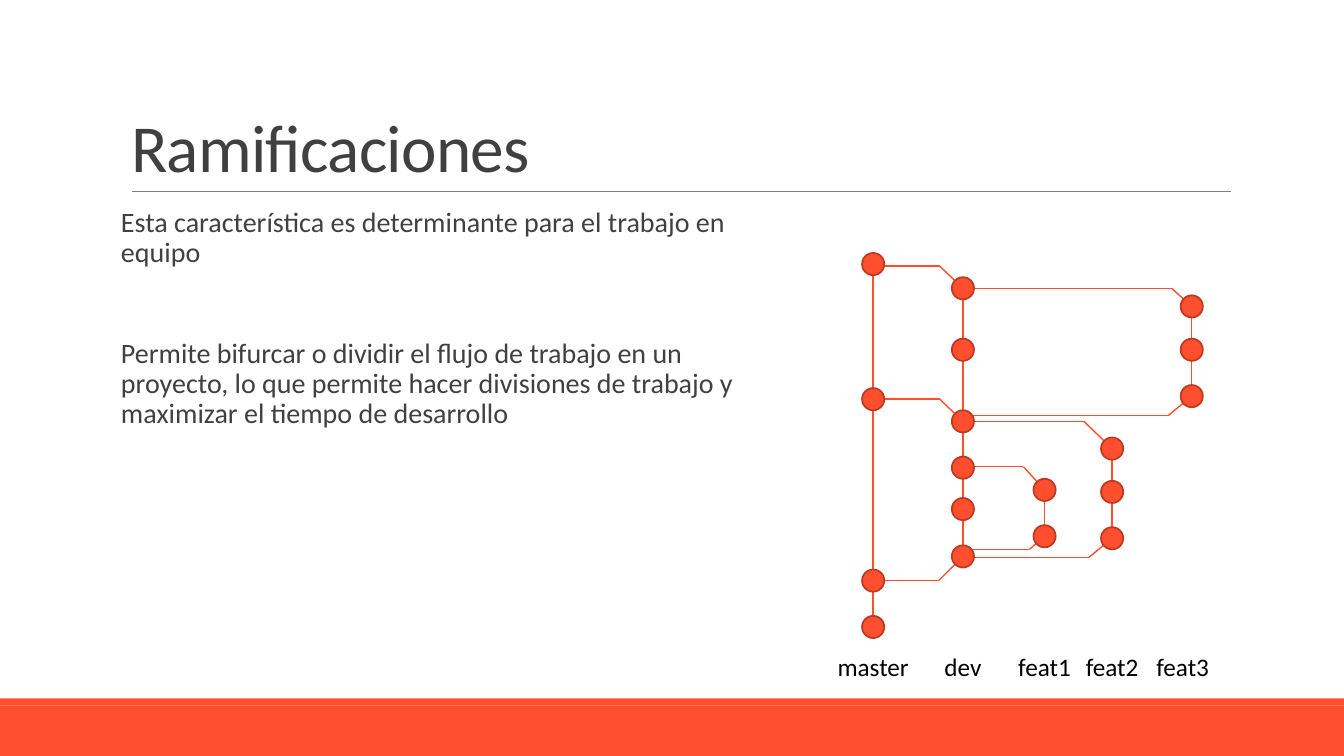
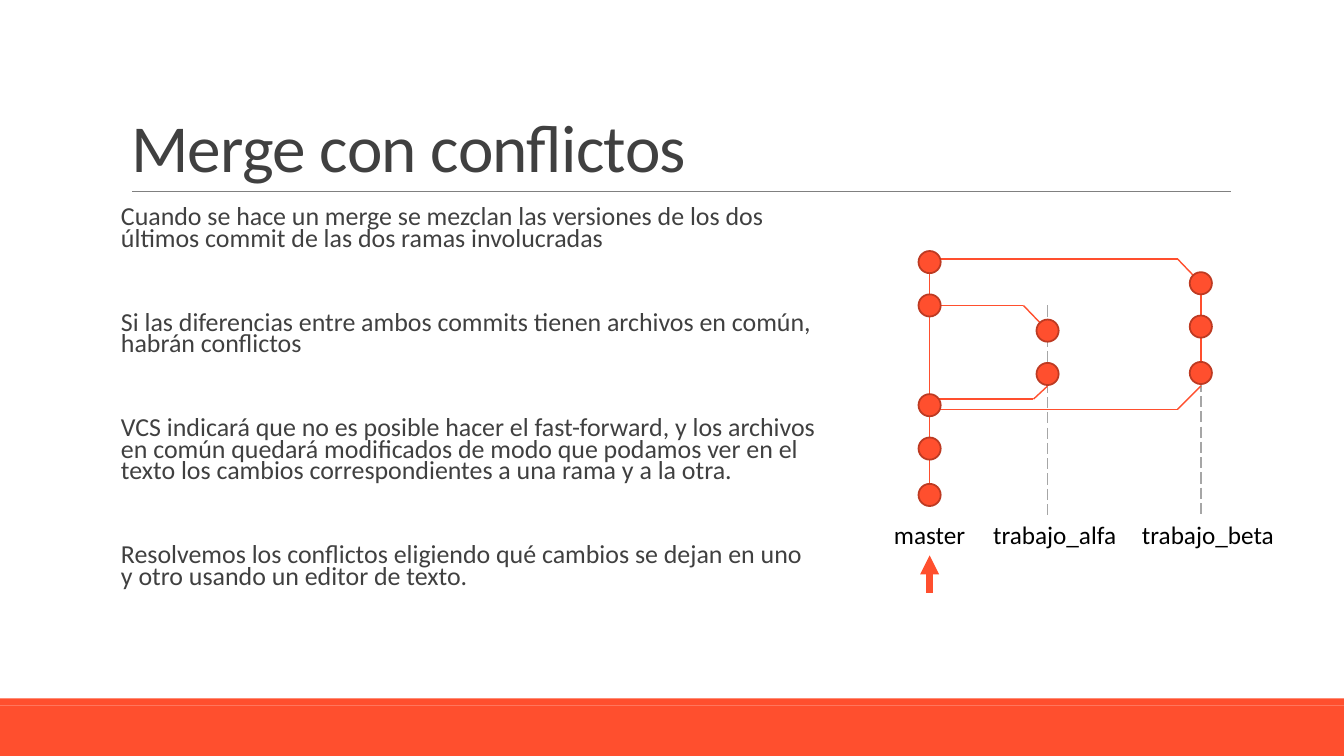
import dataclasses
import itertools

import lxml.etree
import pptx
import pptx.dml.color
import pptx.enum.dml
import pptx.enum.shapes
import pptx.enum.text
import pptx.oxml.ns
import pptx.util

PX = 9144  # EMU per px, 100 px to the inch
WIDTH, HEIGHT = 1333, 750
FONT = "Calibri"
ORANGE = pptx.dml.color.RGBColor(0xFF, 0x4F, 0x2E)
RUST = pptx.dml.color.RGBColor(0xBD, 0x3A, 0x22)
INK = pptx.dml.color.RGBColor(0x40, 0x40, 0x40)
BLACK = pptx.dml.color.RGBColor(0, 0, 0)
RULE_GREY = pptx.dml.color.RGBColor(0x80, 0x80, 0x80)
GUIDE_GREY = pptx.dml.color.RGBColor(0xA6, 0xA6, 0xA6)
COMMIT_SIZE = 22
LABEL_HEIGHT = 40


@dataclasses.dataclass
class Branch:
    """A column of commits; x and commit heights are relative to the graph."""
    name: str
    x: int
    commits: tuple
    label_shift: int = 0
    label_width: int = 95
    solid: bool = True
    guide: tuple = ()


@dataclasses.dataclass
class Link:
    """Leaves the trunk level at y, bends, and meets the branch at tip_y."""
    trunk: str
    y: int
    bend: int
    branch: str
    tip_y: int


def px(*lengths):
    return [round(n * PX) for n in lengths]


def add_shape(s, kind, box, fill, outline=None):
    sp = s.shapes.add_shape(kind, *px(*box))
    sp.shadow.inherit = False
    sp.fill.solid()
    sp.fill.fore_color.rgb = fill
    if outline is None:
        sp.line.fill.background()
    else:
        sp.line.color.rgb = outline
        sp.line.width = pptx.util.Pt(1.25)
    return sp


def add_line(s, start, end, color=ORANGE, width=1, dashed=False, arrow=False):
    line = s.shapes.add_connector(
        pptx.enum.shapes.MSO_CONNECTOR.STRAIGHT, *px(*start, *end))
    line.line.color.rgb = color
    line.line.width = pptx.util.Pt(width)
    if dashed:
        line.line.dash_style = pptx.enum.dml.MSO_LINE.LONG_DASH
    sp_pr = line.element.spPr
    if arrow:
        ln = sp_pr.find(pptx.oxml.ns.qn("a:ln"))
        lxml.etree.SubElement(ln, pptx.oxml.ns.qn("a:tailEnd"), type="triangle")
    lxml.etree.SubElement(sp_pr, pptx.oxml.ns.qn("a:effectLst"))
    return line


def format_text(p, size, color):
    for r in p.runs:
        r.font.name = FONT
        r.font.size = pptx.util.Pt(size)
        r.font.color.rgb = color


def dress_layout(layout, s):
    """Draw the bands and title rule on s, then move them to the layout."""
    tree = layout.shapes.element
    for ph in list(layout.placeholders):
        if ph.placeholder_format.type != pptx.enum.shapes.PP_PLACEHOLDER.TITLE:
            tree.remove(ph.element)
    rect = pptx.enum.shapes.MSO_SHAPE.RECTANGLE
    parts = [
        add_shape(s, rect, (0, 700, WIDTH, HEIGHT - 700), ORANGE),
        add_shape(s, rect, (0, 693, WIDTH, 7), ORANGE),
        add_line(s, (131, 190), (1221, 190), RULE_GREY, 0.5),
    ]
    for part in parts:
        tree.append(part.element)


def set_title(s, text):
    title = s.shapes.title
    title.left, title.top, title.width, title.height = px(120, 31, 1100, 159)
    tf = title.text_frame
    tf.text = text
    tf.auto_size = pptx.enum.text.MSO_AUTO_SIZE.NONE
    tf.vertical_anchor = pptx.enum.text.MSO_ANCHOR.BOTTOM
    p = tf.paragraphs[0]
    p.alignment = pptx.enum.text.PP_ALIGN.LEFT
    p.line_spacing = 0.85
    format_text(p, 48, INK)
    for r_pr in title.element.iter(pptx.oxml.ns.qn("a:rPr")):
        r_pr.set("spc", "-50")


def add_body(s, box, texts, size, line_spacing, gap):
    tf = s.shapes.add_textbox(*px(*box)).text_frame
    tf.word_wrap = True
    tf.margin_left = tf.margin_right = 0
    tf.margin_top = tf.margin_bottom = 5 * PX
    for i, text in enumerate(texts):
        p = tf.add_paragraph() if i else tf.paragraphs[0]
        p.text = text
        p.line_spacing = line_spacing
        p.space_before = pptx.util.Pt(gap if i else 12)
        p.space_after = pptx.util.Pt(2)
        format_text(p, size, INK)


def add_label(s, text, center_x, top, width):
    box = (center_x - width / 2, top, width, LABEL_HEIGHT)
    tf = s.shapes.add_textbox(*px(*box)).text_frame
    tf.word_wrap = True
    p = tf.paragraphs[0]
    p.text = text
    p.alignment = pptx.enum.text.PP_ALIGN.CENTER
    format_text(p, 18, BLACK)


def add_graph(s, left, top, label_top, branches, links):
    """Draw guides and lines first, so that the commits cover their ends."""
    columns = {b.name: left + b.x for b in branches}
    for b in branches:
        x = columns[b.name]
        if b.guide:
            add_line(s, (x, top + b.guide[0]), (x, top + b.guide[1]),
                     GUIDE_GREY, dashed=True)
        if b.solid:
            for y1, y2 in itertools.pairwise(b.commits):
                add_line(s, (x, top + y1), (x, top + y2))
    for link in links:
        bend = (left + link.bend, top + link.y)
        add_line(s, (columns[link.trunk], top + link.y), bend)
        add_line(s, bend, (columns[link.branch], top + link.tip_y))
    for b in branches:
        x = columns[b.name]
        for y in b.commits:
            box = (x - COMMIT_SIZE / 2, top + y - COMMIT_SIZE / 2,
                   COMMIT_SIZE, COMMIT_SIZE)
            add_shape(s, pptx.enum.shapes.MSO_SHAPE.OVAL, box, ORANGE, RUST)
        add_label(s, b.name, x + b.label_shift, top + label_top, b.label_width)


def build_branching(s):
    set_title(s, "Ramificaciones")
    add_body(s, (120, 202, 609, 440), [
        "Esta característica es determinante para el trabajo en equipo",
        "Permite bifurcar o dividir el flujo de trabajo en un proyecto, lo que "
        "permite hacer divisiones de trabajo y maximizar el tiempo de desarrollo",
    ], size=20, line_spacing=0.9, gap=48)
    branches = [
        Branch("master", 48, (11, 145, 325, 371)),
        Branch("dev", 137, (35, 96, 167, 213, 254, 301)),
        Branch("feat1", 218, (235, 281)),
        Branch("feat2", 285, (194, 237, 283)),
        Branch("feat3", 364, (53, 96, 142), label_shift=-9),
    ]
    links = [
        Link("master", 13, 114, "dev", 35),
        Link("master", 145, 114, "dev", 167),
        Link("master", 325, 113, "dev", 301),
        Link("dev", 35, 344, "feat3", 53),
        Link("dev", 161, 341, "feat3", 142),
        Link("dev", 167, 257, "feat2", 194),
        Link("dev", 302, 262, "feat2", 283),
        Link("dev", 212, 197, "feat1", 235),
        Link("dev", 294, 203, "feat1", 281),
    ]
    add_graph(s, 818, 251, 390, branches, links)


def build_conflicts(s):
    set_title(s, "Merge con conflictos")
    add_body(s, (120, 202, 689, 440), [
        "Cuando se hace un merge se mezclan las versiones de los dos últimos "
        "commit de las dos ramas involucradas",
        "Si las diferencias entre ambos commits tienen archivos en común, "
        "habrán conflictos",
        "VCS indicará que no es posible hacer el fast-forward, y los archivos "
        "en común quedará modificados de modo que podamos ver en el texto los "
        "cambios correspondientes a una rama y a la otra.",
        "Resolvemos los conflictos eligiendo qué cambios se dejan en uno y "
        "otro usando un editor de texto.",
    ], size=18.5, line_spacing=0.7, gap=42)
    left, top = 875, 249
    master = Branch("master", 47, (11, 54, 153, 196, 242))
    alfa = Branch("trabajo_alfa", 164, (79, 122), label_shift=7,
                  label_width=152, solid=False, guide=(54, 262))
    beta = Branch("trabajo_beta", 316, (32, 75, 121), label_shift=7,
                  label_width=152, guide=(53, 261))
    links = [
        Link("master", 8, 293, "trabajo_beta", 32),
        Link("master", 157, 293, "trabajo_beta", 134),
        Link("master", 54, 140, "trabajo_alfa", 79),
        Link("master", 147, 150, "trabajo_alfa", 134),
    ]
    add_graph(s, left, top, 261, [master, alfa, beta], links)
    x = left + master.x
    add_line(s, (x, top + 339), (x, top + 302), width=4.5, arrow=True)


def main():
    prs = pptx.Presentation()
    prs.slide_width, prs.slide_height = px(WIDTH, HEIGHT)
    layout = prs.slide_layouts.get_by_name("Title Only")
    branching, conflicts = [prs.slides.add_slide(layout) for _ in range(2)]
    dress_layout(layout, branching)
    build_branching(branching)
    build_conflicts(conflicts)
    prs.save("out.pptx")


if __name__ == "__main__":
    main()
